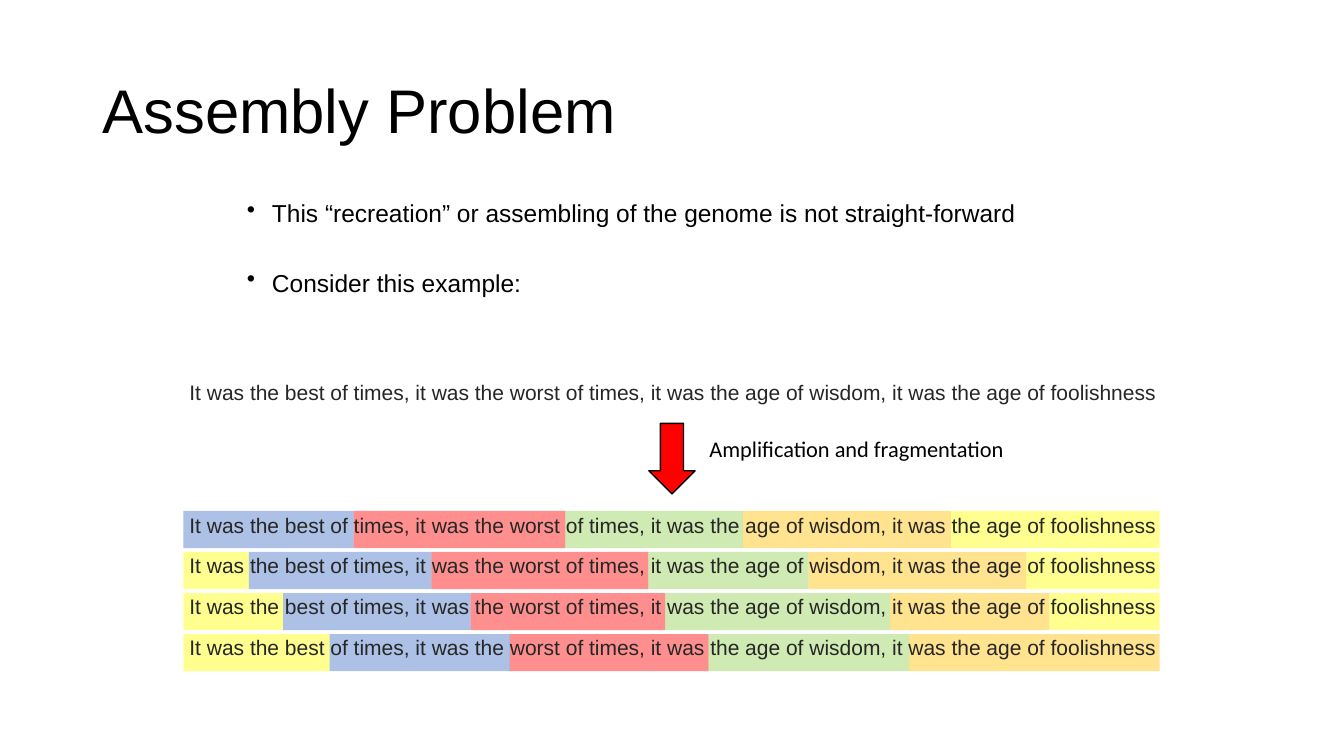
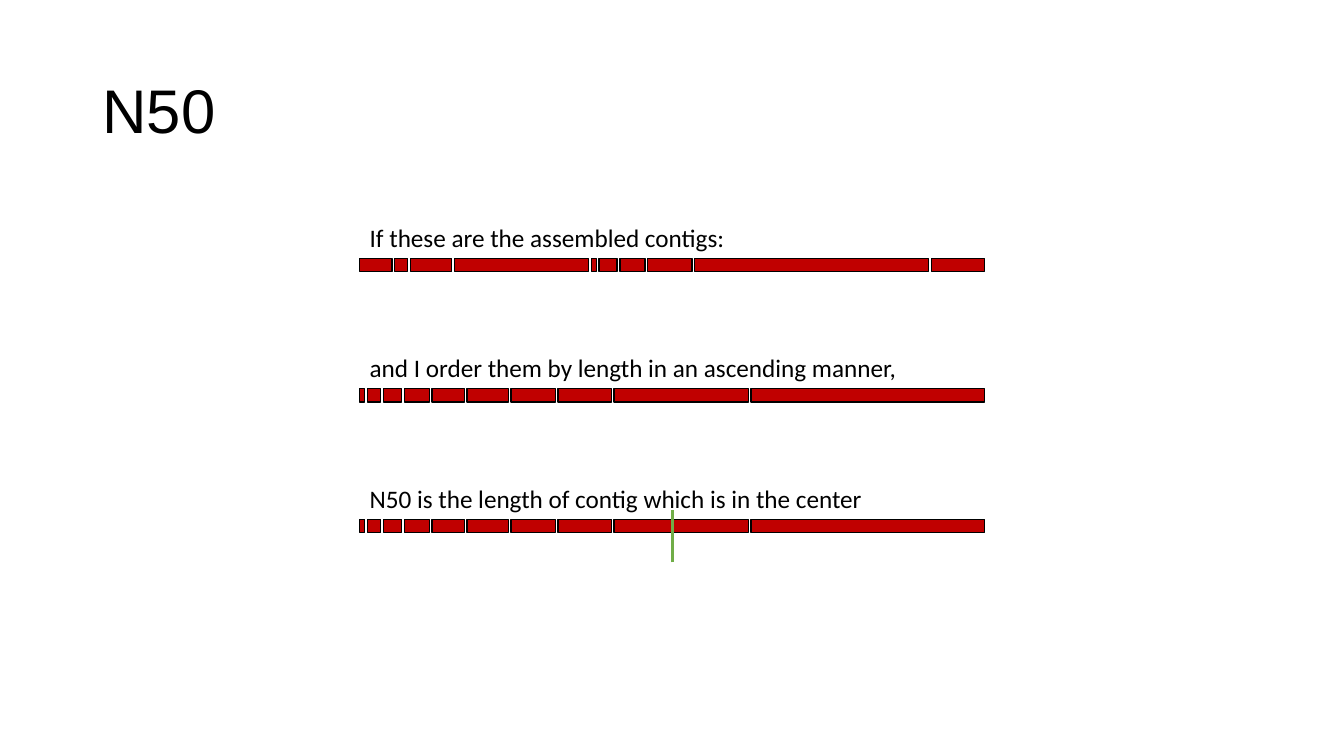
from dataclasses import dataclass
from itertools import cycle, pairwise

from lxml import etree
from pptx import Presentation
from pptx.dml.color import RGBColor as Color
from pptx.enum.shapes import MSO_CONNECTOR as Connector, MSO_SHAPE as Shape
from pptx.enum.text import MSO_ANCHOR as Anchor, MSO_AUTO_SIZE as AutoSize, PP_ALIGN as Align
from pptx.oxml.ns import qn
from pptx.util import Pt


@dataclass(frozen=True)
class Theme:
    black: str = "000000"
    sentence: str = "262626"
    arrow: str = "FF0000"
    contig: str = "C00000"
    center: str = "70AD47"
    fragments: tuple = ("FFFF00", "4472C4", "FF0000", "92D050", "FFC000")
    fragment_alpha: int = 44000
    heading_font: str = "Arial"
    label_font: str = "Calibri"
    title_size: float = 44
    bullet_size: float = 17.5
    sentence_size: float = 15
    note_size: float = 16
    caption_size: float = 18


theme = Theme()


def write_text(shape, text, *, box, size, font=theme.heading_font, color=theme.black,
               anchor=Anchor.TOP, wrap=True, line_spacing=1.0, space_after=0, bullet=None):
    """Place a shape and write one paragraph for each line of text."""
    shape.left, shape.top, shape.width, shape.height = map(Pt, box)
    frame = shape.text_frame
    frame.text = text
    frame.word_wrap = wrap
    frame.auto_size = AutoSize.NONE
    frame.vertical_anchor = anchor
    for paragraph in frame.paragraphs:
        paragraph.alignment = Align.LEFT
        paragraph.line_spacing = line_spacing
        paragraph.space_after = Pt(space_after)
        paragraph.font.size = Pt(size)
        paragraph.font.name = font
        paragraph.font.color.rgb = Color.from_string(color)
        if bullet:
            properties = paragraph._p.get_or_add_pPr()
            properties.set("marL", str(Pt(18)))
            properties.set("indent", str(Pt(-18)))
            mark = etree.Element(qn("a:buChar"), char=bullet)
            properties.insert_element_before(mark, "a:tabLst", "a:defRPr", "a:extLst")


def add_block(slide, kind, box, fill, *, line=None, alpha=None):
    """Draw a filled preset shape, with an optional outline and opacity."""
    shape = slide.shapes.add_shape(kind, *map(Pt, box))
    shape.shadow.inherit = False
    shape.fill.solid()
    shape.fill.fore_color.rgb = Color.from_string(fill)
    if line:
        shape.line.color.rgb = Color.from_string(line)
        shape.line.width = Pt(1)
    else:
        shape.line.fill.background()
    if alpha:
        fill_color = shape._element.spPr.find(".//" + qn("a:srgbClr"))
        etree.SubElement(fill_color, qn("a:alpha"), val=str(alpha))


presentation = Presentation()
presentation.slide_width, presentation.slide_height = Pt(960), Pt(540)
title_only = presentation.slide_layouts[5]

# Slides and their titles
slides = []
for title in ("Assembly Problem", "N50"):
    slide = presentation.slides.add_slide(title_only)
    write_text(slide.shapes.title, title, box=(66, 28.75, 828, 104.4), size=theme.title_size,
               anchor=Anchor.MIDDLE, line_spacing=0.9)
    slides.append(slide)
assembly_slide, n50_slide = slides

# Assembly problem: bullets
bullets = ("This “recreation” or assembling of the genome is not straight-forward\n"
           "Consider this example:")
write_text(assembly_slide.shapes.add_textbox(0, 0, 0, 0), bullets, box=(169.2, 144, 620.6, 90.7),
           size=theme.bullet_size, line_spacing=0.7, space_after=35, bullet="•")

# Assembly problem: fragment edges of each amplified sentence
fragment_rows = [
    (131, 252.7, 403.9, 530.6, 679.2, 828.3),
    (131, 177.8, 308.2, 463.2, 577.4, 733, 828.3),
    (131, 202.3, 336.2, 475.2, 635.8, 749.5, 828.3),
    (131, 235.4, 364.3, 506.2, 649.4, 828.3),
]
for row, edges in enumerate(fragment_rows):
    colors = cycle(theme.fragments)
    if row == 0:
        next(colors)  # the first sentence starts with a blue fragment
    for (left, right), color in zip(pairwise(edges), colors):
        add_block(assembly_slide, Shape.RECTANGLE, (left, 365 + row * 29.3, right - left, 26.6),
                  color, alpha=theme.fragment_alpha)

# Assembly problem: the source sentence and its amplified rows
sentence = ("It was the best of times, it was the worst of times, "
            "it was the age of wisdom, it was the age of foolishness")
for top in [267.6] + [362.2 + row * 29.1 for row in range(len(fragment_rows))]:
    write_text(assembly_slide.shapes.add_textbox(0, 0, 0, 0), sentence,
               box=(128.2, top, 706.3, 25.4), size=theme.sentence_size, color=theme.sentence)

# Assembly problem: arrow and its note
add_block(assembly_slide, Shape.DOWN_ARROW, (463.5, 302.4, 33, 50.4), theme.arrow,
          line=theme.black)
write_text(assembly_slide.shapes.add_textbox(0, 0, 0, 0), "Amplification and fragmentation",
           box=(499.7, 307.4, 226.8, 26.6), size=theme.note_size, font=theme.label_font,
           wrap=False)

# N50: contigs as assembled, then in ascending order
contigs = [23, 9.4, 29.5, 95.8, 3.6, 13, 18, 31.7, 167, 38.2]
bar_left, bar_width = 257, 446.4
contig_gap = (bar_width - sum(contigs)) / (len(contigs) - 1)
steps = [
    ("If these are the assembled contigs:", 271.4, contigs),
    ("and I order them by length in an ascending manner,", 393.1, sorted(contigs)),
    ("N50 is the length of contig which is in the center", 370.8, sorted(contigs)),
]
for step, (caption, caption_width, lengths) in enumerate(steps):
    top = 184.5 + step * 93.2
    left = bar_left
    for length in lengths:
        add_block(n50_slide, Shape.RECTANGLE, (left, top, length, 9.4), theme.contig,
                  line=theme.black)
        left += length + contig_gap
    write_text(n50_slide.shapes.add_textbox(0, 0, 0, 0), caption,
               box=(bar_left, top - 29.5, caption_width, 29), size=theme.caption_size,
               font=theme.label_font, wrap=False)

# N50: center mark
center = bar_left + bar_width / 2
center_line = n50_slide.shapes.add_connector(Connector.STRAIGHT, Pt(center), Pt(401.8),
                                             Pt(center), Pt(364.3))
center_line.line.color.rgb = Color.from_string(theme.center)
center_line.line.width = Pt(2)
etree.SubElement(center_line._element.spPr, qn("a:effectLst"))

presentation.save("out.pptx")
